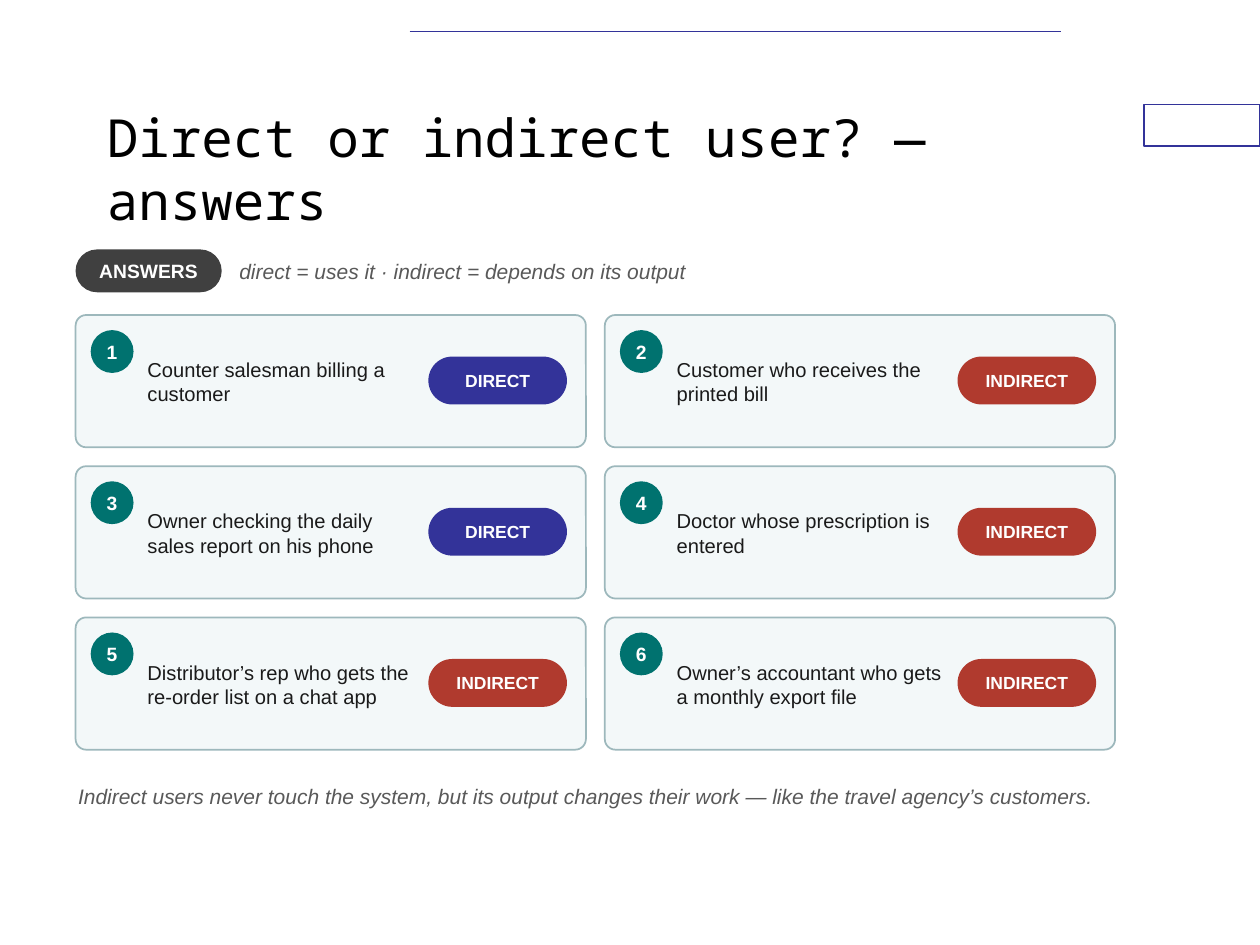
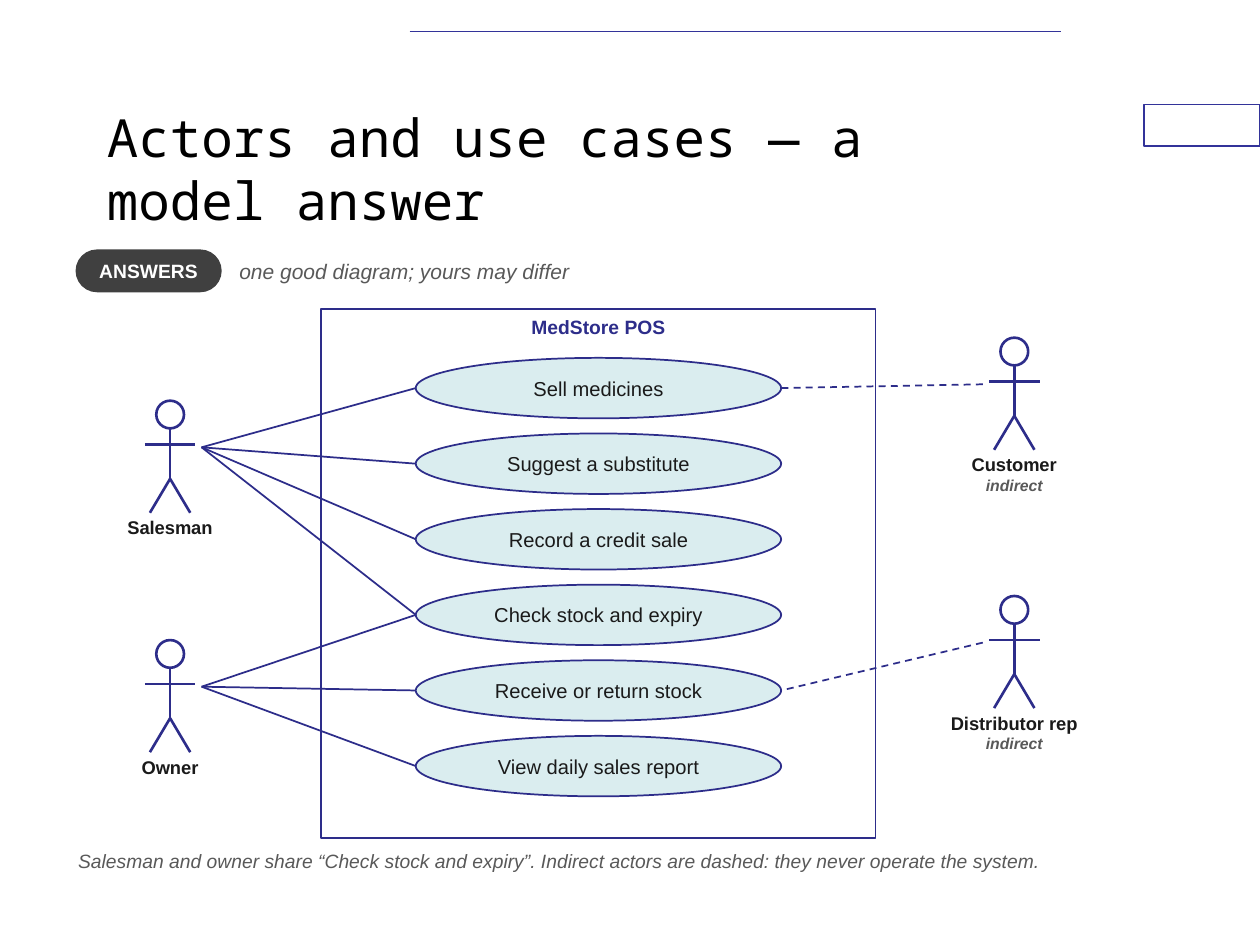
from lxml import etree
from pptx import Presentation
from pptx import util as u
from pptx.dml.color import RGBColor
from pptx.enum import dml, shapes, text
from pptx.oxml.ns import qn

COLUMNS, ROWS = 100, 75
WIDTH, HEIGHT = u.Inches(10), u.Inches(7.5)

INDIGO, NAVY, TEAL, RED = "333399", "2D2D8A", "00726F", "B03A2E"
INK, GREY, CHARCOAL, WHITE = "1A1A1A", "595959", "404040", "FFFFFF"
CARD, CARD_EDGE, CASE = "F3F8F9", "9DB8BC", "DAEDEF"

LEFT, MIDDLE, TOP = 6, text.MSO_ANCHOR.MIDDLE, text.MSO_ANCHOR.TOP
RECT = shapes.MSO_SHAPE.RECTANGLE
ROUND = shapes.MSO_SHAPE.ROUNDED_RECTANGLE
OVAL = shapes.MSO_SHAPE.OVAL


def rgb(value):
    return RGBColor.from_string(value)


def col(columns):
    return round(WIDTH * columns / COLUMNS)


def row(rows):
    return round(HEIGHT * rows / ROWS)


class Deck:
    """Holds the style and the current slide; lengths are grid columns and rows."""

    font, title_font = "Arial", "Noto Sans Mono"

    def __init__(self):
        self.prs = Presentation()
        self.prs.slide_width, self.prs.slide_height = WIDTH, HEIGHT

    def add_slide(self, title, hint, closing, closing_top, closing_size):
        """Start a slide with the shared frame, heading, tag line and closing note."""
        self.slide = self.prs.slides.add_slide(self.prs.slide_layouts[6])
        self.shape(RECT, 90.8, 8.3, 9.2, 3.3, WHITE, INDIGO, 0.75)
        self.line((32.5, 2.5), (84.2, 2.5), INDIGO)
        heading = self.label(7.5, 6.7, 75, 12.5, title, 30, "000000",
                             inset=0.1, font=self.title_font)
        heading.margin_top, heading.margin_bottom = u.Inches(0.13), u.Inches(0.05)
        heading.paragraphs[0].line_spacing = u.Pt(36)
        self.pill(LEFT, 19.8, 11.6, 3.4, "ANSWERS", CHARCOAL, 11)
        self.label(18.8, 19.8, 70.3, 3.4, hint, 12, GREY, italic=True)
        self.label(LEFT, closing_top, 83, 5, closing, closing_size, GREY,
                   anchor=TOP, italic=True)

    def fill_text(self, frame, words, size, color, bold=False, italic=False,
                  centred=False, anchor=MIDDLE, inset=0.02, font=None):
        frame.text = words
        frame.word_wrap = True
        frame.vertical_anchor = anchor
        frame.margin_left = frame.margin_right = u.Inches(inset)
        frame.margin_top = frame.margin_bottom = u.Inches(inset)
        for paragraph in frame.paragraphs:
            paragraph.alignment = text.PP_ALIGN.CENTER if centred else text.PP_ALIGN.LEFT
            for run in paragraph.runs:
                run.font.name = font or self.font
                run.font.size = u.Pt(size)
                run.font.bold, run.font.italic = bold, italic
                run.font.color.rgb = rgb(color)
        return frame

    def label(self, x, y, w, h, words, size, color, **style):
        box = self.slide.shapes.add_textbox(col(x), row(y), col(w), row(h))
        return self.fill_text(box.text_frame, words, size, color, **style)

    def shape(self, kind, x, y, w, h, fill, edge=None, weight=1.0, corner=None):
        item = self.slide.shapes.add_shape(kind, col(x), row(y), col(w), row(h))
        item.shadow.inherit = False
        item.fill.solid()
        item.fill.fore_color.rgb = rgb(fill)
        if edge:
            item.line.color.rgb = rgb(edge)
            item.line.width = u.Pt(weight)
        else:
            item.line.fill.background()
        if corner is not None:
            item.adjustments[0] = corner
        return item

    def pill(self, x, y, w, h, words, fill, size):
        item = self.shape(ROUND, x, y, w, h, fill, corner=0.5)
        self.fill_text(item.text_frame, words, size, WHITE, bold=True, centred=True,
                       inset=0.03)

    def line(self, start, end, color=NAVY, weight=1.0, dashed=False):
        link = self.slide.shapes.add_connector(
            shapes.MSO_CONNECTOR.STRAIGHT,
            col(start[0]), row(start[1]), col(end[0]), row(end[1]))
        link.line.color.rgb = rgb(color)
        link.line.width = u.Pt(weight)
        if dashed:
            link.line.dash_style = dml.MSO_LINE.DASH
        etree.SubElement(link._element.spPr, qn("a:effectLst"))

    def card(self, x, y, number, person, verdict):
        self.shape(ROUND, x, y, 40.5, 10.5, CARD, CARD_EDGE, corner=0.08)
        badge = self.shape(OVAL, x + 1.2, y + 1.2, 3.4, 3.4, TEAL)
        self.fill_text(badge.text_frame, str(number), 11, WHITE, bold=True,
                       centred=True, inset=0)
        self.label(x + 5.5, y + 0.8, 21.5, 9, person, 11.5, INK)
        self.pill(x + 28, y + 3.3, 11, 3.8, verdict,
                  INDIGO if verdict == "DIRECT" else RED, 10)

    def actor(self, x, y, name, indirect=False):
        """Draw a stick figure centred on column x with its head at row y."""
        self.shape(OVAL, x - 1.1, y, 2.2, 2.2, WHITE, NAVY, 1.5)
        hip = (x, y + 6.2)
        for start, end in (((x, y + 2.2), hip),
                           ((x - 2, y + 3.5), (x + 2, y + 3.5)),
                           (hip, (x - 1.6, y + 8.9)),
                           (hip, (x + 1.6, y + 8.9))):
            self.line(start, end, weight=1.5)
        caption = self.label(x - 7.5, y + 9.2, 15, 5,
                             name + ("\nindirect" if indirect else ""), 10.5, INK,
                             bold=True, centred=True, anchor=TOP, inset=0)
        if indirect:
            role = caption.paragraphs[1].runs[0].font
            role.size, role.italic = u.Pt(9), True
            role.color.rgb = rgb(GREY)


def user_answers(deck):
    deck.add_slide(
        "Direct or indirect user? — answers",
        "direct = uses it · indirect = depends on its output",
        "Indirect users never touch the system, but its output changes their work"
        " — like the travel agency’s customers.", 62, 12)
    people = [
        ("Counter salesman billing a customer", "DIRECT"),
        ("Customer who receives the printed bill", "INDIRECT"),
        ("Owner checking the daily sales report on his phone", "DIRECT"),
        ("Doctor whose prescription is entered", "INDIRECT"),
        ("Distributor’s rep who gets the re-order list on a chat app", "INDIRECT"),
        ("Owner’s accountant who gets a monthly export file", "INDIRECT"),
    ]
    for index, (person, verdict) in enumerate(people):
        down, across = divmod(index, 2)
        deck.card(LEFT + 42 * across, 25 + 12 * down, index + 1, person, verdict)


def use_case_model(deck):
    deck.add_slide(
        "Actors and use cases — a model answer",
        "one good diagram; yours may differ",
        "Salesman and owner share “Check stock and expiry”."
        " Indirect actors are dashed: they never operate the system.", 67.2, 11)
    system = deck.shape(RECT, 25.5, 24.5, 44, 42, WHITE, NAVY)
    deck.fill_text(system.text_frame, "MedStore POS", 11, NAVY, bold=True,
                   centred=True, anchor=TOP, inset=0.05)

    case_left, case_width, case_height = 33, 29, 4.8
    cases = ["Sell medicines", "Suggest a substitute", "Record a credit sale",
             "Check stock and expiry", "Receive or return stock",
             "View daily sales report"]
    case_tops = [28.4 + 6 * index for index in range(len(cases))]
    for case, top in zip(cases, case_tops):
        oval = deck.shape(OVAL, case_left, top, case_width, case_height, CASE, NAVY)
        deck.fill_text(oval.text_frame, case, 11.5, INK, centred=True)

    # name, column, row, indexes of the linked use cases, indirect
    actors = [
        ("Salesman", 13.5, 31.8, (0, 1, 2, 3), False),
        ("Owner", 13.5, 50.8, (3, 4, 5), False),
        ("Customer", 80.5, 26.8, (0,), True),
        ("Distributor rep", 80.5, 47.3, (4,), True),
    ]
    for name, x, y, _, indirect in actors:
        deck.actor(x, y, name, indirect)
    for _, x, y, linked, indirect in actors:
        hand = x - 2.5 if indirect else x + 2.5
        edge = case_left + case_width if indirect else case_left
        for index in linked:
            deck.line((hand, y + 3.7), (edge, case_tops[index] + case_height / 2),
                      dashed=indirect)


def main():
    deck = Deck()
    user_answers(deck)
    use_case_model(deck)
    deck.prs.save("out.pptx")


if __name__ == "__main__":
    main()
